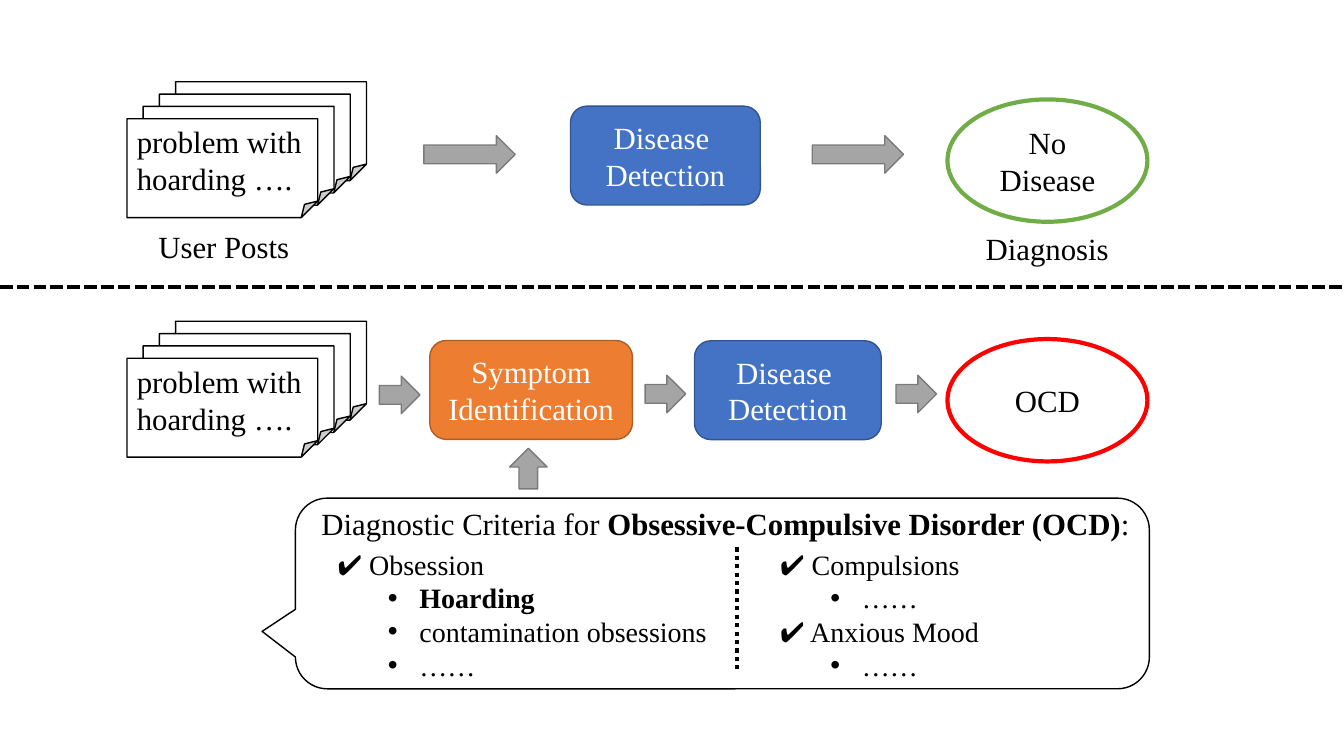
from dataclasses import dataclass

from lxml.etree import SubElement
from pptx import Presentation
from pptx.dml.color import RGBColor
from pptx.enum.dml import MSO_LINE_DASH_STYLE as Dash
from pptx.enum.shapes import MSO_CONNECTOR, MSO_SHAPE as Shape
from pptx.enum.text import MSO_ANCHOR, PP_ALIGN
from pptx.oxml.ns import qn
from pptx.util import Pt

FONT = "Times New Roman"
COLORS = {
    "black": "000000", "white": "FFFFFF",
    "blue": "4472C4", "blue_edge": "325491",
    "orange": "ED7D31", "orange_edge": "AF5C24",
    "gray": "A5A5A5", "gray_edge": "7A7A7A",
    "green": "70AD47", "red": "FF0000",
}


@dataclass
class Run:
    text: str
    bold: bool = False


@dataclass
class Para:
    runs: list[Run]
    bullet: bool = False


@dataclass
class Node:
    kind: Shape
    left: float
    top: float
    width: float
    height: float
    fill: str = "white"
    line: str = "black"
    weight: float = 1
    lines: tuple[str, ...] = ()
    color: str = "black"
    align: PP_ALIGN = PP_ALIGN.CENTER
    rotation: float = 0


@dataclass
class Label:
    left: float
    top: float
    width: float
    height: float
    paras: list[Para]
    size: float = 22
    align: PP_ALIGN = PP_ALIGN.LEFT


def rgb(name: str) -> RGBColor:
    return RGBColor.from_string(COLORS[name])


def plain(text: str) -> Para:
    return Para([Run(text)])


def item(text: str, bold: bool = False) -> Para:
    return Para([Run(text, bold)], bullet=True)


def add_bullet(p) -> None:
    p.level = 1
    pPr = p._p.get_or_add_pPr()
    pPr.set("marL", str(Pt(58.5)))
    pPr.set("indent", str(-Pt(22.5)))
    SubElement(pPr, qn("a:buFont")).set("typeface", "Arial")
    SubElement(pPr, qn("a:buChar")).set("char", "•")


def write(tf, paras: list[Para], size: float, color: str, align: PP_ALIGN) -> None:
    tf.word_wrap = True
    for i, para in enumerate(paras):
        p = tf.add_paragraph() if i else tf.paragraphs[0]
        p.alignment = align
        if para.bullet:
            add_bullet(p)
        for run in para.runs:
            r = p.add_run()
            r.text = run.text
            r.font.name = FONT
            r.font.size = Pt(size)
            r.font.bold = run.bold
            r.font.color.rgb = rgb(color)


def add_node(s, n: Node):
    sp = s.shapes.add_shape(n.kind, Pt(n.left), Pt(n.top), Pt(n.width), Pt(n.height))
    sp.shadow.inherit = False
    sp.rotation = n.rotation
    sp.fill.solid()
    sp.fill.fore_color.rgb = rgb(n.fill)
    sp.line.color.rgb = rgb(n.line)
    sp.line.width = Pt(n.weight)
    if n.lines:
        sp.text_frame.vertical_anchor = MSO_ANCHOR.MIDDLE
        write(sp.text_frame, [plain(t) for t in n.lines], 22, n.color, n.align)
    return sp


def add_label(s, b: Label) -> None:
    sp = s.shapes.add_textbox(Pt(b.left), Pt(b.top), Pt(b.width), Pt(b.height))
    write(sp.text_frame, b.paras, b.size, "black", b.align)


def add_rule(s, x1: float, y1: float, x2: float, y2: float, dash: Dash) -> None:
    c = s.shapes.add_connector(MSO_CONNECTOR.STRAIGHT, Pt(x1), Pt(y1), Pt(x2), Pt(y2))
    c.line.color.rgb = rgb("black")
    c.line.width = Pt(3)
    c.line.dash_style = dash
    SubElement(c._element.spPr, qn("a:effectLst"))


def add_posts(s, top: float) -> None:
    for depth in (3, 2, 1, 0):
        text = () if depth else ("problem with hoarding ….",)
        add_node(s, Node(Shape.FOLDED_CORNER, 90.7 + 11.6 * depth, top - 8.8 * depth,
                         136.3, 70.6, lines=text, align=PP_ALIGN.LEFT))


def step(left: float, top: float, width: float, color: str, *lines: str) -> Node:
    return Node(Shape.ROUNDED_RECTANGLE, left, top, width, 70.6, color,
                f"{color}_edge", lines=lines, color="white")


def outcome(top: float, line: str, text: str) -> Node:
    return Node(Shape.OVAL, 676.8, top, 142.8, 87.4, line=line, weight=3, lines=(text,))


def arrow(left: float, top: float, width: float = 29, rotation: float = 0) -> Node:
    return Node(Shape.RIGHT_ARROW, left, top, width, 26.8, "gray", "gray_edge",
                rotation=rotation)


def main() -> None:
    prs = Presentation()
    prs.slide_width, prs.slide_height = Pt(960), Pt(540)
    s = prs.slides.add_slide(prs.slide_layouts[6])

    callout = add_node(s, Node(Shape.ROUNDED_RECTANGULAR_CALLOUT, 211, 355.8, 610, 136.2))
    for i, value in enumerate((-0.539, 0.199, 0.167)):
        callout.adjustments[i] = value
    add_rule(s, 0, 205.2, 960, 205.2, Dash.SQUARE_DOT)

    for top in (84.8, 255.9):
        add_posts(s, top)

    nodes = [
        step(407.5, 75.8, 135.6, "blue", "Disease ", "Detection"),
        step(496.1, 243.4, 133.4, "blue", "Disease ", "Detection"),
        step(307, 243.2, 144.8, "orange", "Symptom", "Identification"),
        outcome(71, "green", "No Disease"),
        outcome(242.2, "red", "OCD"),
        arrow(271, 268.7), arrow(460.8, 268), arrow(640, 268),
        arrow(302.8, 96.9, 65.2), arrow(580.2, 96.9, 65.2),
        arrow(362.9, 321.3, rotation=270),
    ]
    for n in nodes:
        add_node(s, n)

    heading = Para([Run("Diagnostic Criteria for "),
                    Run("Obsessive-Compulsive Disorder (OCD)", True), Run(":")])
    labels = [
        Label(100.8, 159.1, 118, 33.9, [plain("User Posts")], align=PP_ALIGN.CENTER),
        Label(689, 160.6, 118, 33.9, [plain("Diagnosis")], align=PP_ALIGN.CENTER),
        Label(222.5, 357.1, 610, 33.9, [heading]),
        Label(234, 387.4, 287.3, 104.4,
              [plain("✔️ Obsession"), item("Hoarding", True),
               item("contamination obsessions"), item("……")], 20),
        Label(550.1, 387.4, 214.6, 104.4,
              [plain("✔️ Compulsions"), item("……"),
               plain("✔️ Anxious Mood"), item("……")], 20),
    ]
    for b in labels:
        add_label(s, b)
    add_rule(s, 526.5, 391, 526.5, 479.5, Dash.ROUND_DOT)

    prs.save("out.pptx")


if __name__ == "__main__":
    main()
